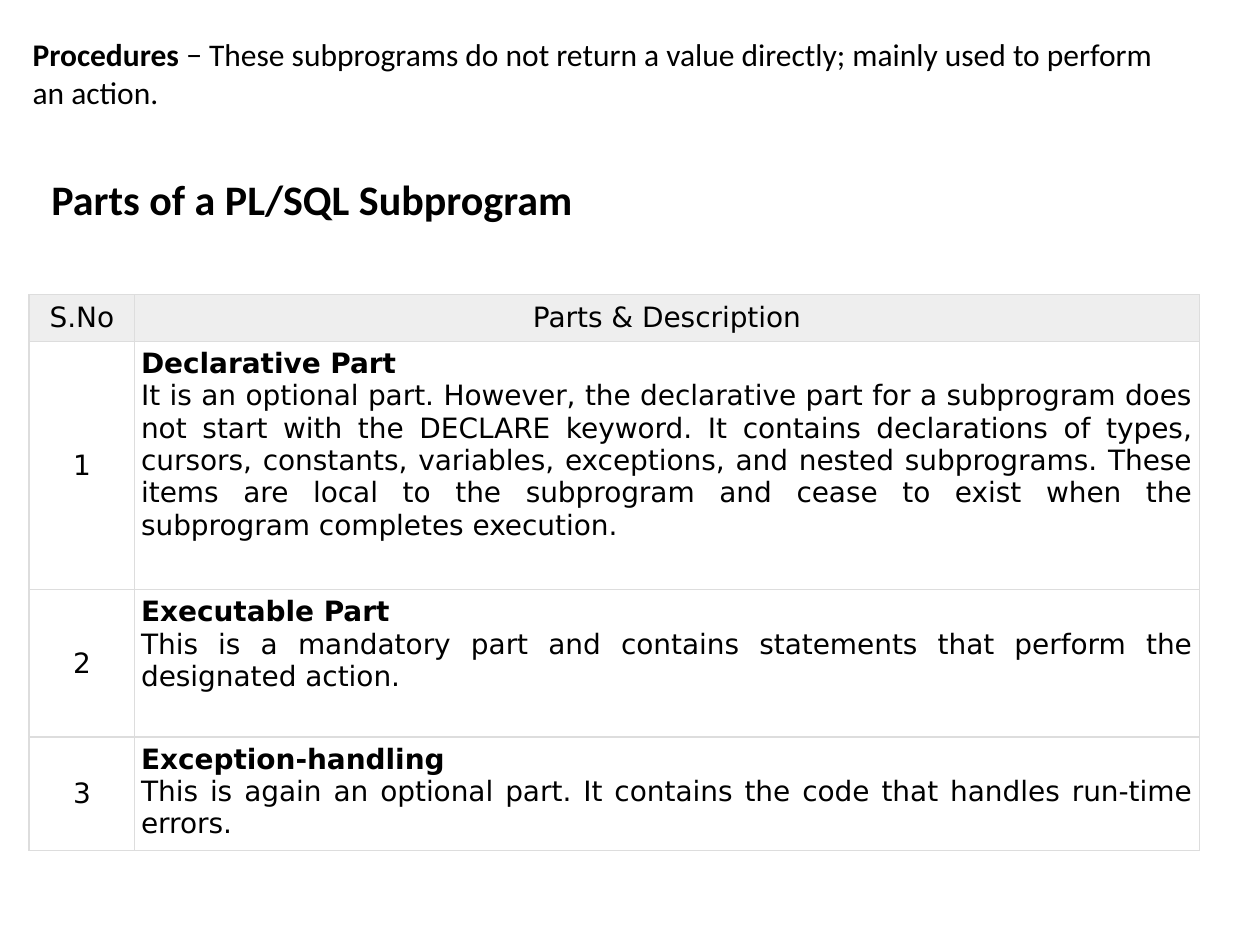
from lxml import etree
from pptx import Presentation
from pptx.dml.color import RGBColor
from pptx.enum.text import MSO_ANCHOR, MSO_AUTO_SIZE, PP_ALIGN
from pptx.oxml.ns import qn
from pptx.util import Inches, Pt

CENTER, JUSTIFY, LEFT = PP_ALIGN.CENTER, PP_ALIGN.JUSTIFY, PP_ALIGN.LEFT
TOP, MIDDLE = MSO_ANCHOR.TOP, MSO_ANCHOR.MIDDLE
GROW = MSO_AUTO_SIZE.SHAPE_TO_FIT_TEXT
COLORS = {"ink": "000000", "header": "EEEEEE", "border": "DDDDDD"}
EDGES = ("a:lnL", "a:lnR", "a:lnT", "a:lnB")


def write(para, text, font="Calibri", size=18, bold=False, align=LEFT):
    para.alignment = align
    span = para.add_run()
    span.text = text
    span.font.name = font
    span.font.size = Pt(size)
    span.font.bold = bold
    span.font.color.rgb = RGBColor.from_string(COLORS["ink"])


class SlideBuilder:
    """Adds styled text boxes and tables to one slide."""

    def __init__(self, page):
        self.page = page
        self.cell_style = {"font": "DejaVu Sans", "size": 16}

    def text(self, left, top, width, height, spans, wrap=True, **style):
        box = self.page.shapes.add_textbox(*map(Inches, (left, top, width, height)))
        frame = box.text_frame
        frame.word_wrap = wrap
        frame.auto_size = GROW
        for text, bold in spans:
            write(frame.paragraphs[0], text, bold=bold, **style)

    def border(self, cell):
        properties = cell._tc.get_or_add_tcPr()
        for position, edge in enumerate(EDGES):
            line = etree.Element(qn(edge), w=str(Pt(0.75)))
            fill = etree.SubElement(line, qn("a:solidFill"))
            etree.SubElement(fill, qn("a:srgbClr"), val=COLORS["border"])
            properties.insert(position, line)

    def cell(self, cell, lines, align, anchor=TOP, fill=None):
        cell.margin_left = cell.margin_right = Inches(0.05)
        cell.margin_top = cell.margin_bottom = Inches(0.05)
        cell.vertical_anchor = anchor
        if fill:
            cell.fill.solid()
            cell.fill.fore_color.rgb = RGBColor.from_string(COLORS[fill])
        else:
            cell.fill.background()
        frame = cell.text_frame
        for index, (text, bold) in enumerate(lines):
            para = frame.add_paragraph() if index else frame.paragraphs[0]
            write(para, text, bold=bold, align=align, **self.cell_style)
        self.border(cell)

    def table(self, left, top, widths, heights, headings, parts):
        bounds = (left, top, sum(widths), sum(heights))
        table = self.page.shapes.add_table(
            len(heights), len(widths), *map(Inches, bounds)
        ).table
        for column, width in zip(table.columns, widths):
            column.width = Inches(width)
        for row, height in zip(table.rows, heights):
            row.height = Inches(height)
        for column, heading in enumerate(headings):
            self.cell(table.cell(0, column), [(heading, False)], CENTER, fill="header")
        for number, (name, description) in enumerate(parts, 1):
            self.cell(table.cell(number, 0), [(str(number), False)], CENTER, MIDDLE)
            lines = [(name, True), (description, False)]
            self.cell(table.cell(number, 1), lines, JUSTIFY)


PARTS = [
    (
        "Declarative Part",
        "It is an optional part. However, the declarative part for a subprogram "
        "does not start with the DECLARE keyword. It contains declarations of "
        "types, cursors, constants, variables, exceptions, and nested subprograms. "
        "These items are local to the subprogram and cease to exist when the "
        "subprogram completes execution.",
    ),
    (
        "Executable Part",
        "This is a mandatory part and contains statements that perform the "
        "designated action.",
    ),
    (
        "Exception-handling",
        "This is again an optional part. It contains the code that handles "
        "run-time errors.",
    ),
]
INTRO = [
    ("Procedures", True),
    (
        "\u00a0\u2212 These subprograms do not return a value directly; "
        "mainly used to perform an action.",
        False,
    ),
]

deck = Presentation()
deck.slide_width, deck.slide_height = Inches(10), Inches(7.5)
builder = SlideBuilder(deck.slides.add_slide(deck.slide_layouts[6]))
builder.text(
    0.31, 1.33, 4.38, 0.5, [("Parts of a PL/SQL Subprogram", True)], wrap=False, size=24
)
builder.table(
    0.23,
    2.34,
    [0.84, 8.45],
    [0.37, 1.97, 1.17, 0.9],
    ["S.No", "Parts & Description"],
    PARTS,
)
builder.text(0.16, 0.23, 9.38, 0.71, INTRO)
deck.save("out.pptx")
